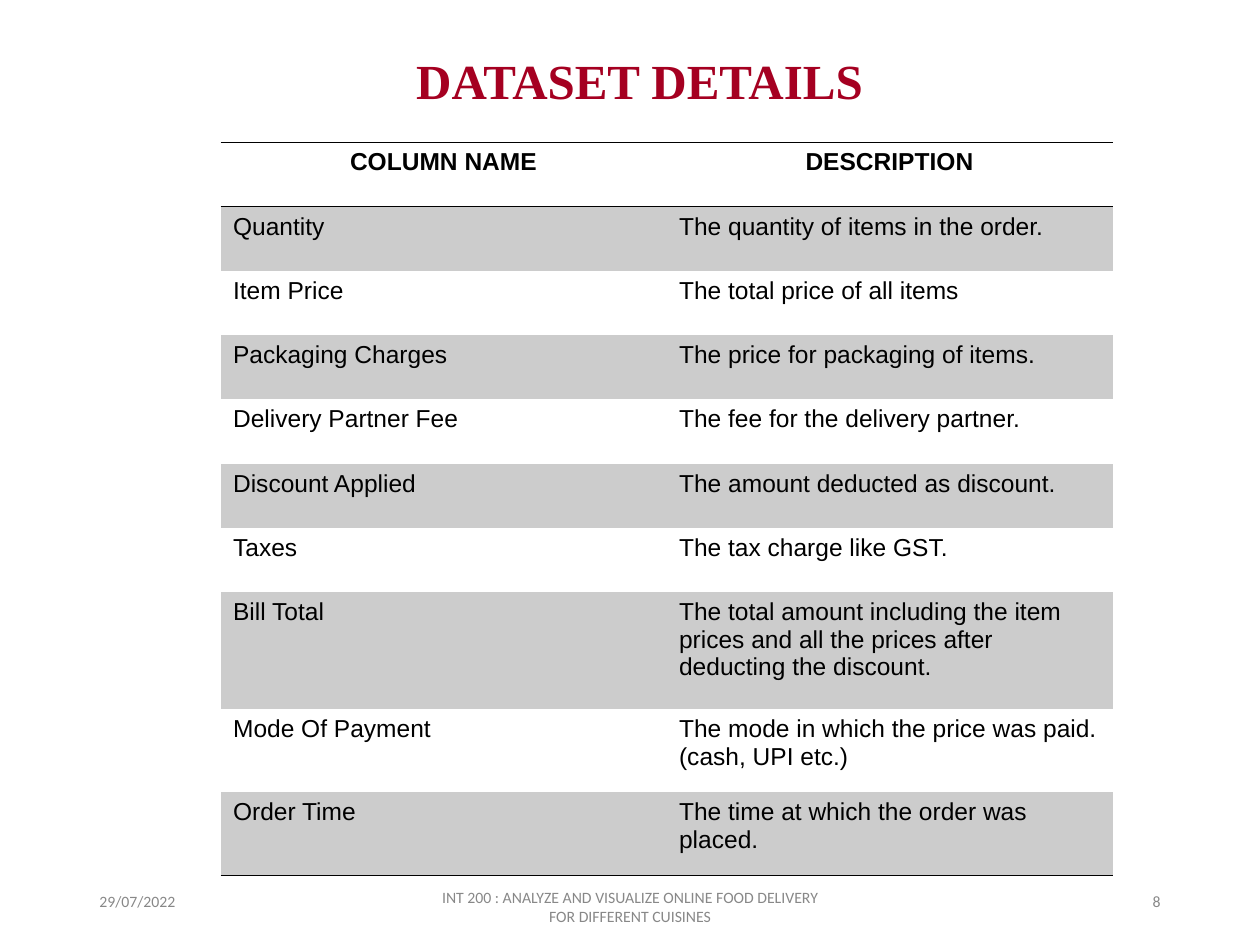
"""Build the dataset details slide with its column table and footer."""
from lxml.etree import SubElement
from pptx import Presentation
from pptx.dml.color import RGBColor
from pptx.enum.text import MSO_ANCHOR as Anchor, PP_ALIGN as Align
from pptx.oxml.ns import qn
from pptx.util import Inches, Pt


def add_run(paragraph, text, font, size, color, bold=False):
    run = paragraph.add_run()
    run.text = text
    run.font.name = font
    run.font.size = Pt(size)
    run.font.bold = bold
    run.font.color.rgb = RGBColor.from_string(color)


def add_border(cell, side):
    line = SubElement(cell._tc.get_or_add_tcPr(), qn(f"a:ln{side}"), w=str(Pt(1)))
    fill = SubElement(line, qn("a:solidFill"))
    SubElement(fill, qn("a:srgbClr"), val="000000")


presentation = Presentation()
presentation.slide_width = Inches(10)
presentation.slide_height = Inches(7.5)
slide = presentation.slides.add_slide(presentation.slide_layouts[6])

footer_style = ("Calibri", 9, "888888")
texts = [
    ("DATASET DETAILS", (1.75, 0.3, 6.65, 0.63), Align.CENTER, 1.07,
     ("Times New Roman", 28, "A50021", True)),
    ("29/07/2022", (0.69, 6.95, 2.25, 0.4), Align.LEFT, 1, footer_style),
    ("INT 200 : ANALYZE AND VISUALIZE ONLINE FOOD DELIVERY FOR DIFFERENT CUISINES",
     (3.31, 7.04, 3.38, 0.31), Align.CENTER, 1, footer_style),
    ("8", (7.06, 6.95, 2.25, 0.4), Align.RIGHT, 1, footer_style),
]
for text, box, alignment, spacing, style in texts:
    shape = slide.shapes.add_textbox(*map(Inches, box))
    frame = shape.text_frame
    frame.word_wrap = True
    frame.vertical_anchor = Anchor.MIDDLE
    paragraph = frame.paragraphs[0]
    paragraph.alignment = alignment
    paragraph.line_spacing = spacing
    add_run(paragraph, text, *style)

rows = [
    ("COLUMN NAME", "DESCRIPTION"),
    ("Quantity", "The quantity of items in the order."),
    ("Item Price", "The total price of all items"),
    ("Packaging Charges", "The price for packaging of items."),
    ("Delivery Partner Fee", "The fee for the delivery partner."),
    ("Discount Applied", "The amount deducted as discount."),
    ("Taxes", "The tax charge like GST."),
    ("Bill Total", "The total amount including the item prices and all the prices "
                   "after deducting the discount."),
    ("Mode Of Payment", "The mode in which the price was paid.(cash, UPI etc.)"),
    ("Order Time", "The time at which the order was placed."),
]
row_heights = [0.51] * 7 + [0.93, 0.66, 0.66]
last_row = len(rows) - 1
no_style_no_grid = "{2D5ABB26-0587-4C30-8999-92F81FD0307C}"

table = slide.shapes.add_table(
    len(rows), 2, Inches(1.75), Inches(1.13), Inches(7.07), Inches(5.82)).table
table._tbl.tblPr.find(qn("a:tableStyleId")).text = no_style_no_grid
for column in table.columns:
    column.width = Inches(3.54)

for row_index, (values, height) in enumerate(zip(rows, row_heights)):
    table.rows[row_index].height = Inches(height)
    is_header = row_index == 0
    for column_index, value in enumerate(values):
        cell = table.cell(row_index, column_index)
        if is_header:
            add_border(cell, "T")
        if row_index in (0, last_row):
            add_border(cell, "B")
        if row_index % 2:
            cell.fill.solid()
            cell.fill.fore_color.rgb = RGBColor.from_string("CCCCCC")
        else:
            cell.fill.background()
        paragraph = cell.text_frame.paragraphs[0]
        paragraph.alignment = Align.CENTER if is_header else Align.LEFT
        add_run(paragraph, value, "Arial", 14, "000000", is_header)

presentation.save("out.pptx")
